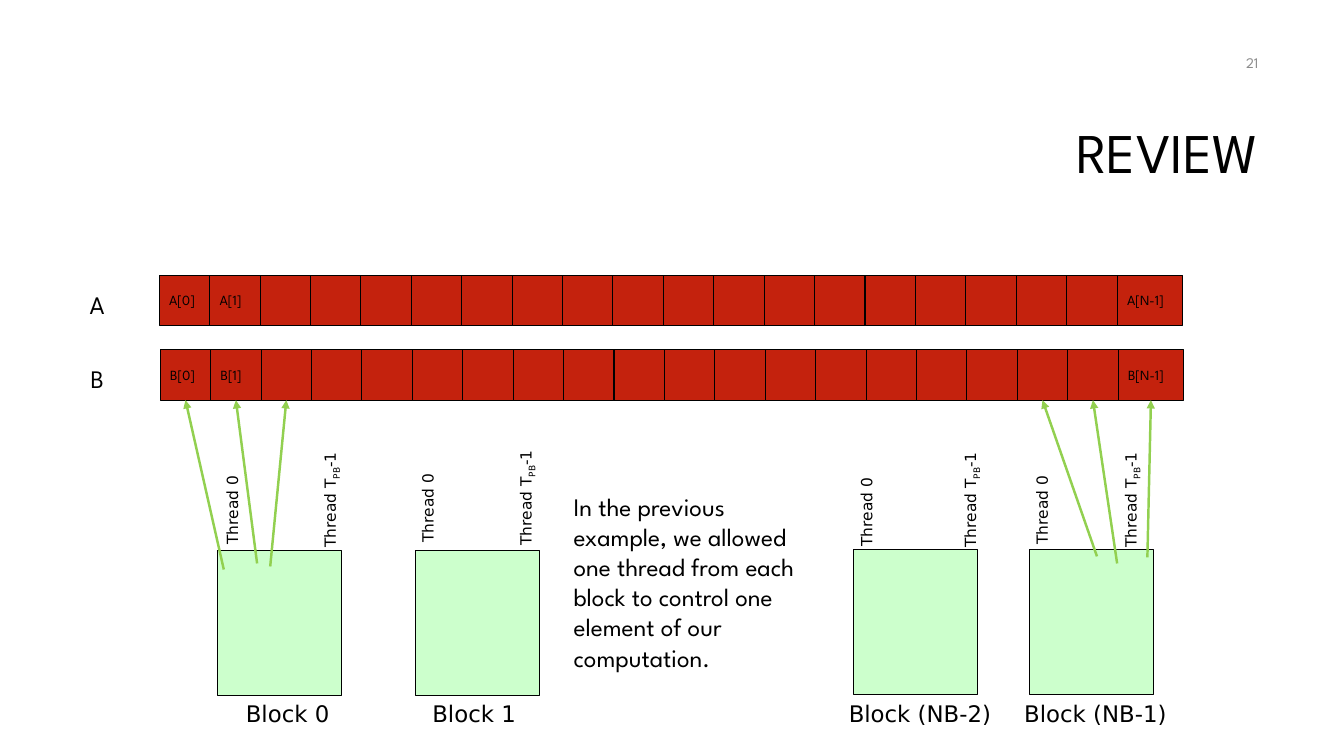
from lxml import etree
from pptx import Presentation
from pptx.dml.color import RGBColor
from pptx.enum.shapes import MSO_CONNECTOR, MSO_SHAPE
from pptx.enum.text import MSO_ANCHOR, PP_ALIGN
from pptx.oxml.ns import qn
from pptx.util import Inches, Pt

RECT, LINE = MSO_SHAPE.RECTANGLE, MSO_CONNECTOR.STRAIGHT
MIDDLE, TOP = MSO_ANCHOR.MIDDLE, MSO_ANCHOR.TOP
LEFT, RIGHT = PP_ALIGN.LEFT, PP_ALIGN.RIGHT
SANS, SPARTAN = "DejaVu Sans", "League Spartan"
BLACK, GREY, RED, MINT, GREEN = "000000", "8C8C8C", "C4220D", "CCFFCC", "92D050"

prs = Presentation()
prs.slide_width, prs.slide_height = Inches(13.33), Inches(7.5)
s = prs.slides.add_slide(prs.slide_layouts[6])


def add_rect(x, y, w, h, fill):
    sp = s.shapes.add_shape(RECT, Inches(x), Inches(y), Inches(w), Inches(h))
    sp.shadow.inherit = False
    sp.fill.solid()
    sp.fill.fore_color.rgb = RGBColor.from_string(fill)
    sp.line.color.rgb = RGBColor.from_string(BLACK)
    sp.line.width = Pt(0.75)
    return sp


def add_text(text, size, font=SPARTAN, box=None, sp=None, color=BLACK,
             anchor=TOP, align=LEFT, wrap=True, sub=None):
    """Write text into sp or a new box; the part equal to sub is lowered."""
    sp = sp or s.shapes.add_textbox(*map(Inches, box))
    tf = sp.text_frame
    for name, value in {"word_wrap": wrap, "vertical_anchor": anchor}.items():
        setattr(tf, name, value)
    p = tf.paragraphs[0]
    p.alignment = align
    before, mark, after = text.partition(sub) if sub else (text, "", "")
    for part in filter(None, (before, mark, after)):
        r = p.add_run()
        r.text = part
        for name, value in {"name": font, "size": Pt(size)}.items():
            setattr(r.font, name, value)
        r.font.color.rgb = RGBColor.from_string(color)
        if part == sub:
            r._r.get_or_add_rPr().set("baseline", "-25000")
    return sp


# Slide number and title
add_text("21", 10.5, box=(9.58, 0.42, 3, 0.4), color=GREY, anchor=MIDDLE, align=RIGHT)
title = add_text("REVIEW", 40, box=(2.31, 0.84, 10.27, 1.41), anchor=MIDDLE, align=RIGHT)
title.text_frame.paragraphs[0].line_spacing = 0.9

# Arrays A and B: equal cells, the last one wider
CELL, COUNT = 0.5, 20
rows = {}
for array, left, top in (("A", 1.58, 2.73), ("B", 1.59, 3.47)):
    labels = {0: "0", 1: "1", COUNT - 1: "N-1"}
    rows[array] = []
    for i in range(COUNT):
        width = 0.65 if i == COUNT - 1 else CELL
        sp = add_rect(left + i * CELL, top, width, CELL, RED)
        if i in labels:
            add_text(f"{array}[{labels[i]}]", 10, sp=sp, anchor=MIDDLE, wrap=False)
        rows[array].append(sp)
    add_text(array, 18, box=(left - 0.79, top + 0.09, 0.58, 0.4))

# Blocks: name, left, top, name left, name width
blocks = (
    ("Block 0", 2.16, 5.46, 2.34, 1.13),
    ("Block 1", 4.12, 5.46, 4.19, 1.13),
    ("Block (NB-2)", 8.47, 5.45, 8.32, 1.74),
    ("Block (NB-1)", 10.21, 5.45, 10.06, 1.74),
)
for name, x, y, name_x, name_w in blocks:
    add_rect(x, y, 1.23, 1.44, MINT)
    add_text(name, 16.3, SANS, (name_x, 6.89, name_w, 0.38))

# First and last thread of each block, reading upwards between the arrows
threads = (
    (1.84, 4.89, 2.63, 4.74),
    (3.78, 4.87, 4.57, 4.72),
    (8.13, 4.91, 8.98, 4.74),
    (9.87, 4.89, 10.57, 4.74),
)
for first_x, first_y, last_x, last_y in threads:
    first = add_text("Thread 0", 11, SANS, (first_x, first_y, 0.93, 0.29))
    last = add_text("Thread TPB-1", 11, SANS, (last_x, last_y, 1.29, 0.29), sub="PB")
    first.rotation = last.rotation = 270

# Explanation
add_text("In the previous example, we allowed one thread from each block to control "
         "one element of our computation.", 18, box=(5.59, 4.82, 2.49, 2.22))

# Arrows from threads to the bottom of the B cells, clear of the thread labels
arrows = ((2.22, 5.65, 0), (2.55, 5.59, 1), (2.68, 5.62, 2),
          (11.38, 5.53, 19), (11.08, 5.59, 18), (10.88, 5.52, 17))
for x, y, i in arrows:
    cxn = s.shapes.add_connector(LINE, Inches(x), Inches(y), Inches(x), Inches(y))
    cxn.end_connect(rows["B"][i], 2)
    cxn.line.color.rgb = RGBColor.from_string(GREEN)
    cxn.line.width = Pt(1.75)
    etree.SubElement(cxn.line._get_or_add_ln(), qn("a:tailEnd"), type="triangle")
    etree.SubElement(cxn._element.spPr, qn("a:effectLst"))

prs.save("out.pptx")
